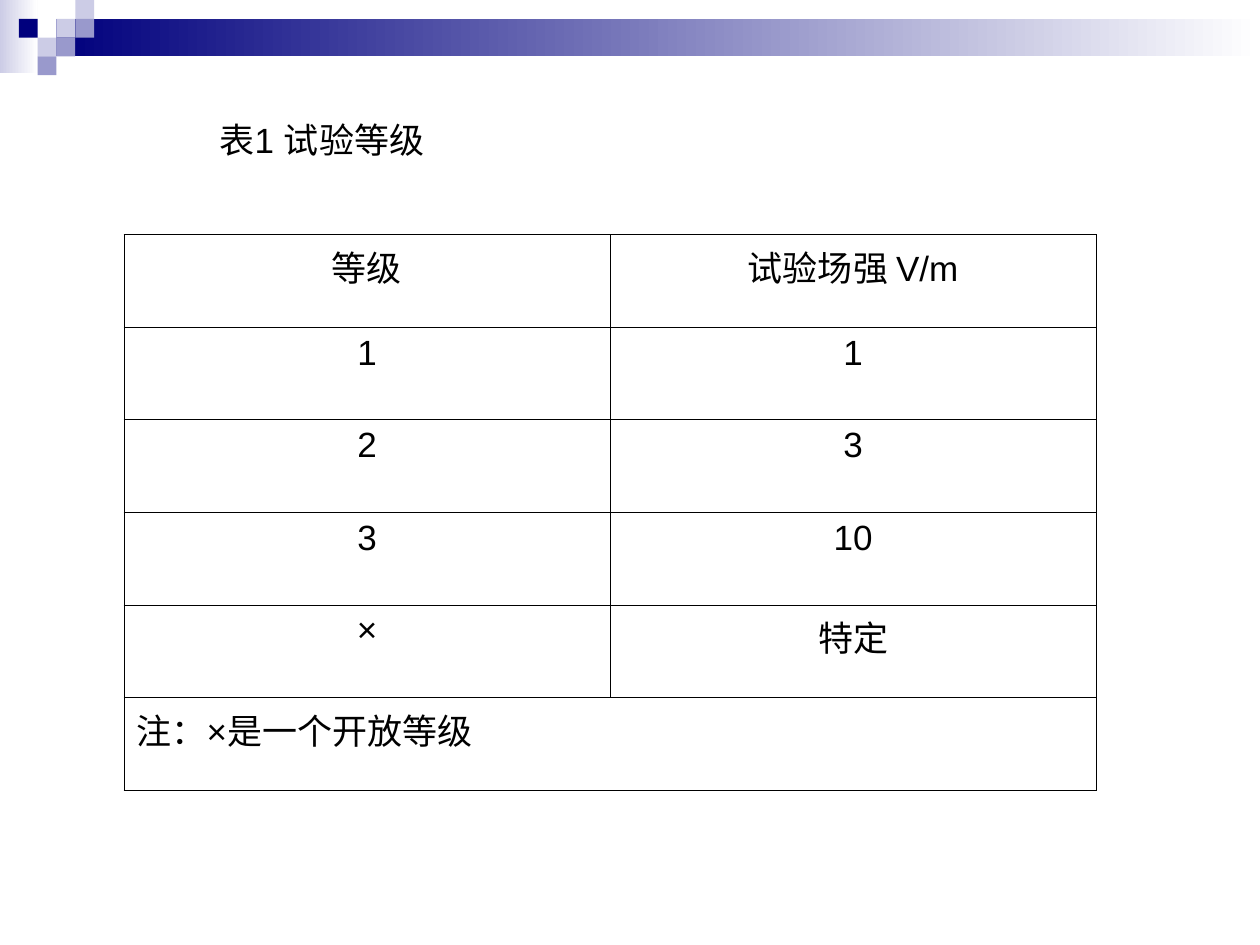
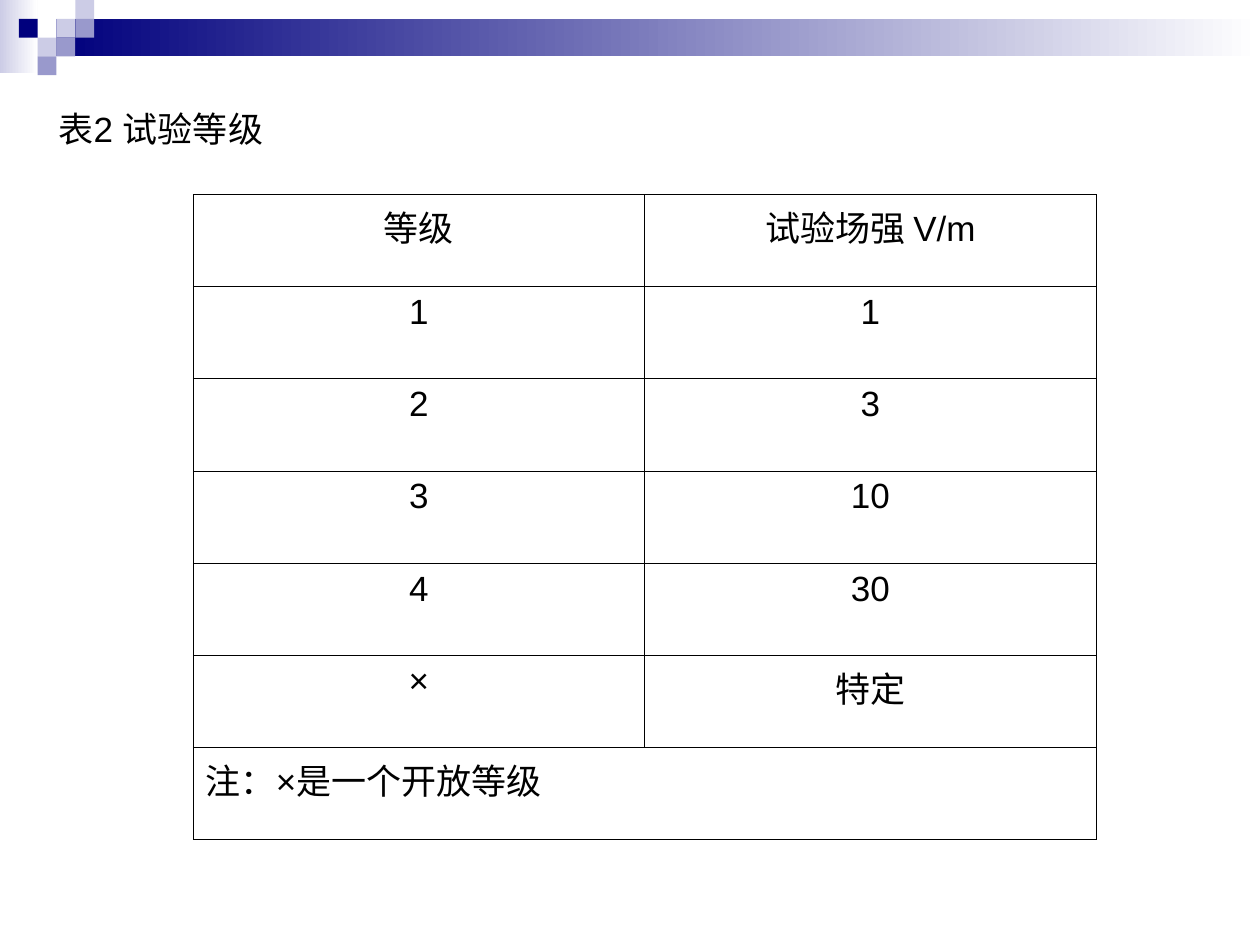
import pptx
import pptx.dml.color
import pptx.enum.shapes
import pptx.enum.text
import pptx.oxml
import pptx.oxml.ns
import pptx.util

Pt = pptx.util.Pt
ALIGN = pptx.enum.text.PP_ALIGN
ANCHOR = pptx.enum.text.MSO_ANCHOR

COLORS = {
    "navy": "00007D",
    "periwinkle": "9999CC",
    "lavender": "CCCCE6",
    "white": "FFFFFF",
    "text": "000000",
}
FONT = "Arial"
TEXT_SIZE = 20
BORDER_WIDTH = 0.45
PAGE_WIDTH, PAGE_HEIGHT = 720, 540
HEADER_BOX = (0, 0, PAGE_WIDTH, 43)
MOSAIC = [
    (3, 1, "lavender"),
    (4, 0, "lavender"),
    (4, 1, "periwinkle"),
    (2, 2, "lavender"),
    (1, 1, "navy"),
    (3, 2, "periwinkle"),
    (2, 3, "periwinkle"),
]

HEADINGS = ("等级", "试验场强 V/m")
OPEN_LEVEL = ("×", "特定")
NOTE = "注：×是一个开放等级"


def color(name):
    return pptx.dml.color.RGBColor.from_string(COLORS[name])


def write_text(frame, text, size=TEXT_SIZE, align=ALIGN.LEFT, ink="text"):
    para = frame.paragraphs[0]
    para.alignment = align
    span = para.add_run()
    span.text = text
    span.font.size = Pt(size)
    span.font.name = FONT
    span.font.color.rgb = color(ink)


def add_block(page, box, start, end=None):
    block = page.shapes.add_shape(
        pptx.enum.shapes.MSO_SHAPE.RECTANGLE, *map(Pt, box))
    block.shadow.inherit = False
    block.line.fill.background()
    if end is None:
        block.fill.solid()
        block.fill.fore_color.rgb = color(start)
    else:
        block.fill.gradient()
        block.fill.gradient_angle = 0
        for stop, name in zip(block.fill.gradient_stops, (start, end)):
            stop.color.rgb = color(name)


def add_header(page, box):
    left, top, width, height = box
    unit = height / 4
    add_block(page, (left, top, 2 * unit, height - 1.5), "lavender", "white")
    add_block(page, (left + 3 * unit, top + unit, width - 3 * unit, 2 * unit),
              "navy", "white")
    for column, row, name in MOSAIC:
        add_block(page, (left + column * unit, top + row * unit, unit, unit), name)


def add_caption(page, box, text, align):
    caption = page.shapes.add_textbox(*map(Pt, box))
    caption.text_frame.word_wrap = True
    caption.text_frame.vertical_anchor = ANCHOR.MIDDLE
    write_text(caption.text_frame, text, align=align)


def add_borders(cell):
    properties = cell._tc.get_or_add_tcPr()
    for position, side in enumerate(("lnL", "lnR", "lnT", "lnB")):
        border = pptx.oxml.parse_xml(
            f'<a:{side} {pptx.oxml.ns.nsdecls("a")} w="{int(Pt(BORDER_WIDTH))}">'
            f'<a:solidFill><a:srgbClr val="{COLORS["text"]}"/></a:solidFill>'
            f'</a:{side}>')
        properties.insert(position, border)


def add_level_table(page, box, levels):
    left, top, width, height = box
    rows = [HEADINGS, *levels, OPEN_LEVEL, (NOTE, "")]
    table = page.shapes.add_table(
        len(rows), len(HEADINGS), *map(Pt, box)).table
    table.first_row = False
    table.horz_banding = False
    for column in table.columns:
        column.width = Pt(width / len(HEADINGS))
    for row in table.rows:
        row.height = Pt(height / len(rows))
    note_row = len(rows) - 1
    table.cell(note_row, 0).merge(table.cell(note_row, len(HEADINGS) - 1))
    for row_index, values in enumerate(rows):
        align = ALIGN.LEFT if row_index == note_row else ALIGN.CENTER
        for column_index, value in enumerate(values):
            cell = table.cell(row_index, column_index)
            cell.fill.background()
            add_borders(cell)
            if value:
                write_text(cell.text_frame, value, align=align)


def add_level_page(deck, caption, caption_box, caption_align, table_box, levels):
    page = deck.slides.add_slide(deck.slide_layouts[6])
    add_header(page, HEADER_BOX)
    add_caption(page, caption_box, caption, caption_align)
    add_level_table(page, table_box, levels)


def main():
    deck = pptx.Presentation()
    deck.slide_width = Pt(PAGE_WIDTH)
    deck.slide_height = Pt(PAGE_HEIGHT)
    levels = [("1", "1"), ("2", "3"), ("3", "10")]
    add_level_page(deck, "表1 试验等级", (48, 63.5, 272, 32), ALIGN.CENTER,
                   (70.8, 134, 555.6, 317.6), levels)
    add_level_page(deck, "表2 试验等级", (26.4, 57.6, 160, 32), ALIGN.LEFT,
                   (110.4, 111.2, 516, 368.6), levels + [("4", "30")])
    deck.save("out.pptx")


if __name__ == "__main__":
    main()
